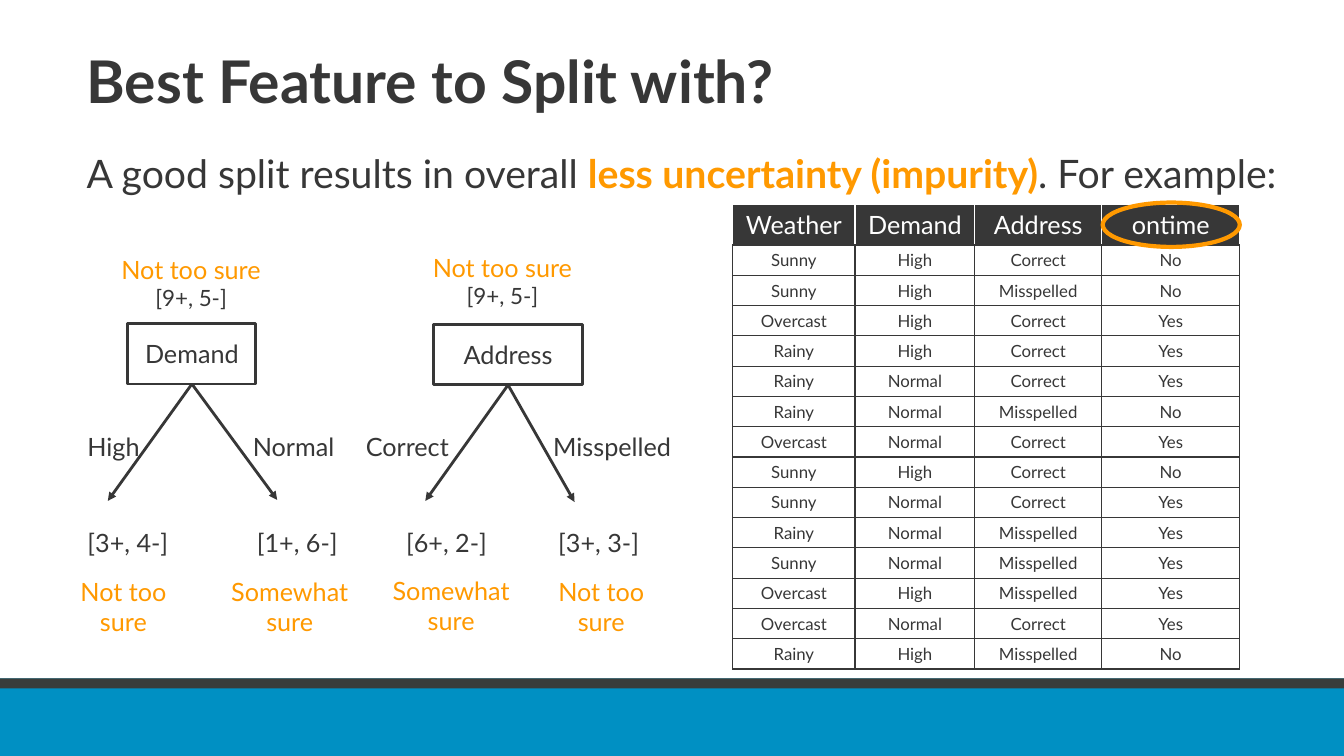
from lxml.etree import SubElement
from pptx import Presentation
from pptx.dml.color import RGBColor
from pptx.enum.shapes import MSO_CONNECTOR, MSO_SHAPE
from pptx.enum.text import MSO_ANCHOR, PP_ALIGN
from pptx.oxml.ns import qn
from pptx.util import Pt

COLORS = {"dark": "373737", "orange": "FF9900", "blue": "0090C3",
          "slate": "383D3B", "white": "FFFFFF"}
FONT = "Lato"
LEFT, CENTER = PP_ALIGN.LEFT, PP_ALIGN.CENTER
TOP, MIDDLE = MSO_ANCHOR.TOP, MSO_ANCHOR.MIDDLE

# Root: text, box, note position; branches: label, label x and width,
# arrow tip, counts, counts x, verdict, verdict position and width
TREES = [
    ("Demand", (91.4, 231.1, 91.4), (74.2, 177.8), [
        ("High", 55.4, 62.6, (77, 357.8), "[3+, 4-]", 55.4,
         "Not too sure", (38.9, 408.2, 98.6)),
        ("Normal", 173.5, 77.8, (198, 357.1), "[1+, 6-]", 176.4,
         "Somewhat sure", (152.6, 408.2, 108.7))]),
    ("Address", (309.6, 231.8, 106.6), (296.6, 176.4), [
        ("Correct", 254.2, 77, (303.8, 357.8), "[6+, 2-]", 283,
         "Somewhat sure", (268.6, 407.5, 107.3)),
        ("Misspelled", 388.1, 103, (410.4, 358.6), "[3+, 3-]", 391.7,
         "Not too sure", (380.2, 408.2, 98.6))]),
]
HEADERS = ["Weather", "Demand", "Address", "ontime"]
DELIVERIES = """Sunny High Correct No
Sunny High Misspelled No
Overcast High Correct Yes
Rainy High Correct Yes
Rainy Normal Correct Yes
Rainy Normal Misspelled No
Overcast Normal Correct Yes
Sunny High Correct No
Sunny Normal Correct Yes
Rainy Normal Misspelled Yes
Sunny Normal Misspelled Yes
Overcast High Misspelled Yes
Overcast Normal Correct Yes
Rainy High Misspelled No"""


def rgb(color):
    return RGBColor.from_string(COLORS[color])


class SlideBuilder:
    def __init__(self, deck):
        self.slide = deck.slides.add_slide(deck.slide_layouts[5])
        self.shapes = self.slide.shapes

    def style(self, font, size, color="dark", bold=False):
        font.name, font.size, font.bold = FONT, Pt(size), bold
        font.color.rgb = rgb(color)

    def fill_text(self, frame, lines, align=LEFT, anchor=TOP):
        """Each line is (text, size, color)."""
        frame.word_wrap = True
        frame.vertical_anchor = anchor
        for index, (text, size, color) in enumerate(lines):
            para = frame.add_paragraph() if index else frame.paragraphs[0]
            para.text, para.alignment = text, align
            self.style(para.font, size, color)

    def title(self, text, *place):
        box = self.shapes.title
        box.left, box.top, box.width, box.height = map(Pt, place)
        self.fill_text(box.text_frame, [(text, 42, "dark")], anchor=MIDDLE)
        para = box.text_frame.paragraphs[0]
        para.font.bold = True
        para.line_spacing = 0.8

    def text(self, lines, *place, align=LEFT):
        box = self.shapes.add_textbox(*map(Pt, place))
        self.fill_text(box.text_frame, lines, align)

    def lead(self, spans, *place):
        box = self.shapes.add_textbox(*map(Pt, place))
        box.text_frame.word_wrap = True
        for text, color, bold in spans:
            span = box.text_frame.paragraphs[0].add_run()
            span.text = text
            self.style(span.font, 28, color, bold)

    def shape(self, kind, *place, fill=None, line=None, weight=2, text=None):
        shape = self.shapes.add_shape(kind, *map(Pt, place))
        shape.shadow.inherit = False
        if fill:
            shape.fill.solid()
            shape.fill.fore_color.rgb = rgb(fill)
        else:
            shape.fill.background()
        if line:
            shape.line.color.rgb = rgb(line)
            shape.line.width = Pt(weight)
        else:
            shape.line.fill.background()
        if text:
            self.fill_text(shape.text_frame, [(text, 18, "dark")], CENTER, MIDDLE)

    def arrow(self, start, end):
        arrow = self.shapes.add_connector(MSO_CONNECTOR.STRAIGHT, *map(Pt, start + end))
        arrow.line.color.rgb = rgb("dark")
        arrow.line.width = Pt(2)
        properties = arrow._element.spPr
        SubElement(properties.find(qn("a:ln")), qn("a:tailEnd"), type="triangle")
        SubElement(properties, qn("a:effectLst"))

    def tree(self, name, root, note, branches):
        left, top, width = root
        height = 43.2
        self.shape(MSO_SHAPE.RECTANGLE, *root, height, line="dark", text=name)
        self.text([("Not too sure", 18, "orange"), ("[9+, 5-]", 16, "dark")],
                  *note, 124.6, 48.2, align=CENTER)
        for label, label_x, label_width, tip, counts, counts_x, verdict, place in branches:
            self.arrow((left + width / 2, top + height), tip)
            self.text([(label, 18, "dark")], label_x, 304.6, label_width, 28.8)
            self.text([(counts, 18, "dark")], counts_x, 373, 77, 48.2)
            self.text([(verdict, 18, "orange")], *place, 51.1, align=CENTER)

    def cell(self, cell, text, header):
        edges = {"lnL": "dark", "lnR": "dark", "lnT": "dark", "lnB": "dark"}
        if header:
            edges.update(lnL="white", lnR="white", lnT="white")
        # Borders precede the fill in the cell properties
        properties = cell._tc.get_or_add_tcPr()
        for edge, color in edges.items():
            line = SubElement(properties, qn("a:" + edge), w=str(Pt(1)))
            fill = SubElement(line, qn("a:solidFill"))
            SubElement(fill, qn("a:srgbClr"), val=COLORS[color])
        if header:
            cell.fill.solid()
            cell.fill.fore_color.rgb = rgb("dark")
        else:
            cell.fill.background()
        cell.vertical_anchor = MIDDLE if header else TOP
        para = cell.text_frame.paragraphs[0]
        para.text, para.alignment = text, CENTER
        self.style(para.font, 18 if header else 12, "white" if header else "dark")

    def table(self, rows, widths, left, top):
        heights = [28.8] + [21.6] * (len(rows) - 1)
        table = self.shapes.add_table(len(rows), len(widths), Pt(left), Pt(top),
                                      Pt(sum(widths)), Pt(sum(heights))).table
        table.first_row = table.horz_banding = False
        for column, width in zip(table.columns, widths):
            column.width = Pt(width)
        for index, (row, height) in enumerate(zip(rows, heights)):
            table.rows[index].height = Pt(height)
            for number, text in enumerate(row):
                self.cell(table.cell(index, number), text, index == 0)


def main():
    deck = Presentation()
    deck.slide_width, deck.slide_height = Pt(960), Pt(540)
    page = SlideBuilder(deck)

    # Footer band
    page.shape(MSO_SHAPE.RECTANGLE, 0, 484.6, 960, 55.4, fill="blue")
    page.shape(MSO_SHAPE.RECTANGLE, 0, 484.6, 960, 7.2, fill="slate")

    # Title and lead sentence
    page.title("Best Feature to Split with?", 54.7, 23, 874.8, 77.8)
    page.lead([("A good split results in overall ", "dark", False),
               ("less uncertainty (impurity)", "orange", True),
               (". For example:", "dark", False)], 54.7, 103, 874.8, 43.2)

    # Candidate splits
    for tree in TREES:
        page.tree(*tree)

    # Training data with the target column circled
    rows = [HEADERS] + [line.split() for line in DELIVERIES.splitlines()]
    page.table(rows, [87.4, 85.5, 90.7, 98.6], 523.4, 146.2)
    page.shape(MSO_SHAPE.OVAL, 787.7, 144.7, 97.9, 31.7, line="orange", weight=3)

    deck.save("out.pptx")


if __name__ == "__main__":
    main()
